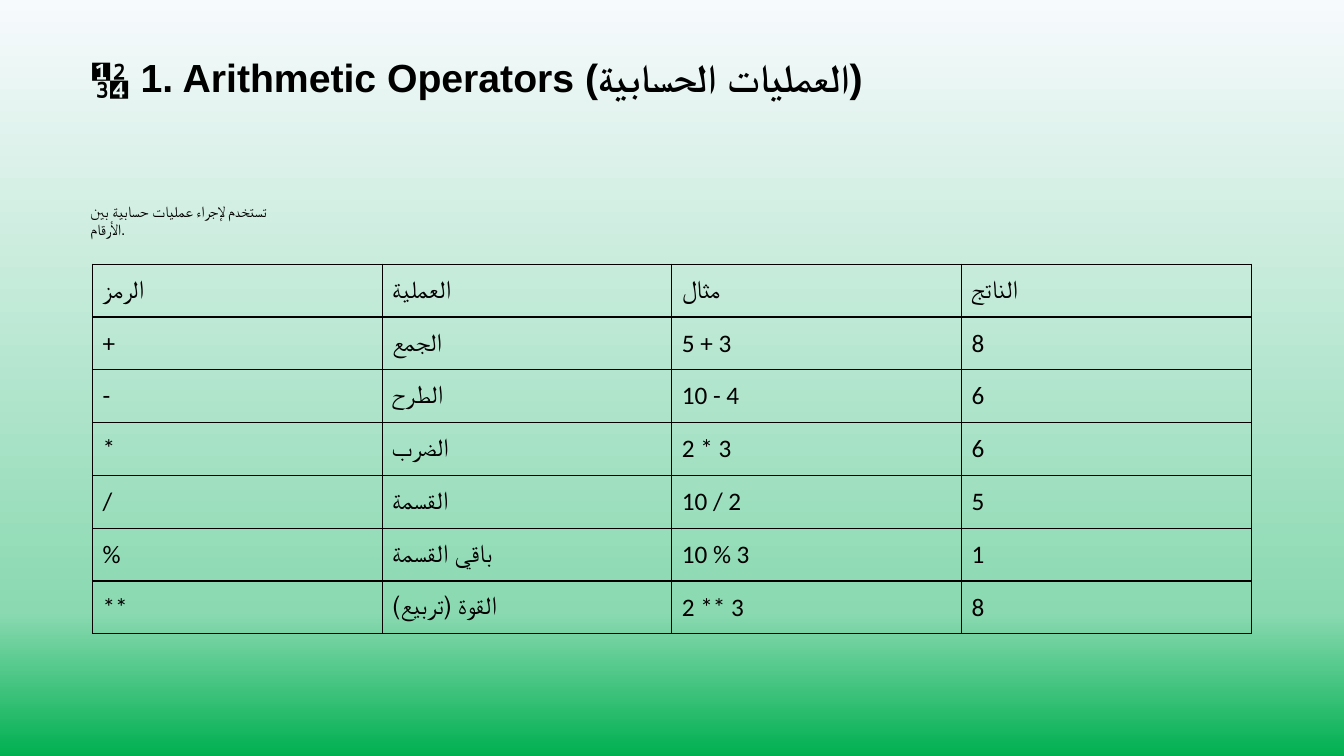
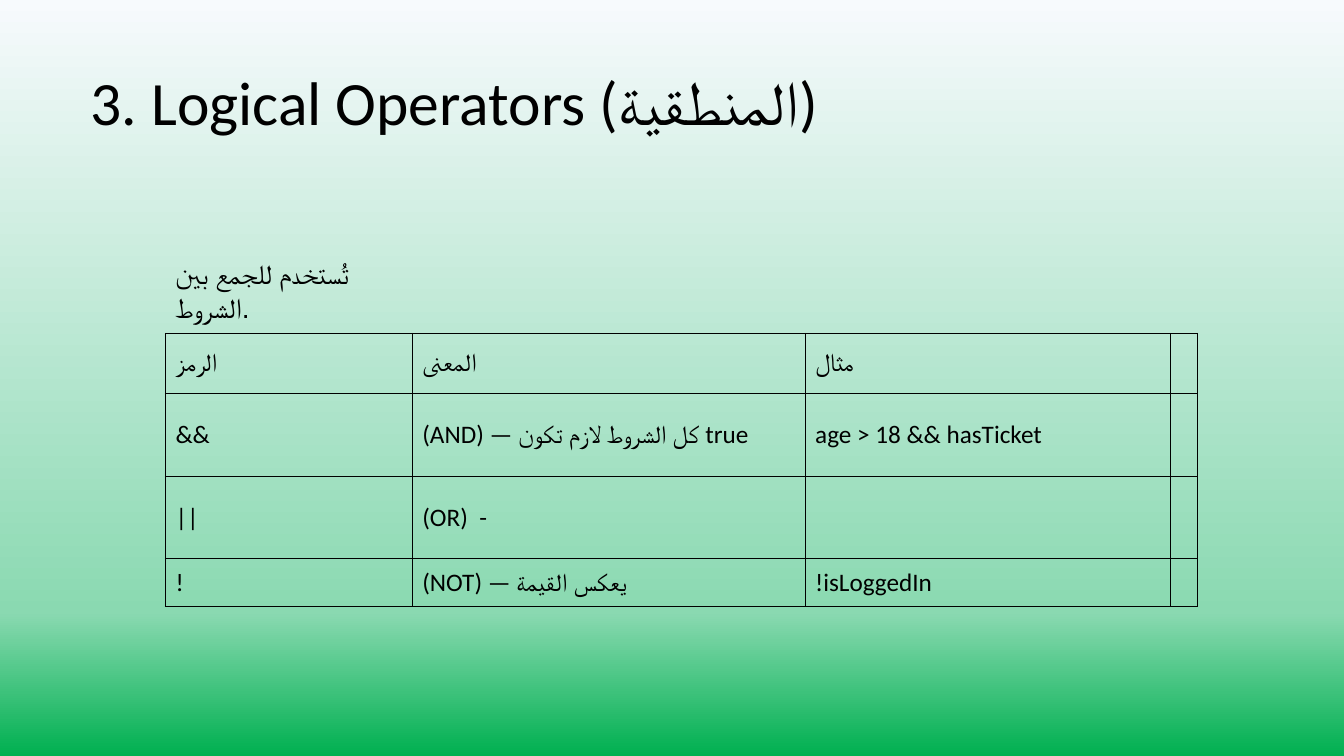
from dataclasses import dataclass

from lxml.etree import SubElement
from pptx import Presentation
from pptx.dml.color import RGBColor
from pptx.enum.text import MSO_ANCHOR as Anchor, PP_ALIGN as Align
from pptx.oxml.ns import qn
from pptx.util import Cm, Pt


@dataclass(frozen=True)
class Theme:
    ink: str = "000000"
    backdrop: tuple = ((0, "F7FAFD"), (81, "8AD9B1"), (100, "00B050"))
    body_font: str = "Calibri"
    accent_font: str = "Arial"
    heading_size: int = 44
    small_heading_size: int = 28
    table_size: int = 18
    caption_size: int = 20
    small_caption_size: int = 11
    border: float = 1
    heading_spacing: float = 0.9


THEME = Theme()
TITLE_ONLY = 5

ARITHMETIC = [
    ("الرمز", "العملية", "مثال", "الناتج"),
    ("+", "الجمع", "5 + 3", "8"),
    ("-", "الطرح", "10 - 4", "6"),
    ("*", "الضرب", "2 * 3", "6"),
    ("/", "القسمة", "10 / 2", "5"),
    ("%", "باقي القسمة", "10 % 3", "1"),
    ("**", "القوة (تربيع)", "2 ** 3", "8"),
]

LOGICAL = [
    ("الرمز", "المعنى", "مثال", ""),
    ("&&", "(AND) — كل الشروط لازم تكون true", "age > 18 && hasTicket", ""),
    ("||", "(OR)  -", "", ""),
    ("!", "(NOT) — يعكس القيمة", "!isLoggedIn", ""),
]


def paint_backdrop(master):
    fill = master.background.fill
    fill.gradient()
    fill.gradient_angle = 270
    stops = master.element.find(".//" + qn("a:gsLst"))
    for stop in list(stops):
        stops.remove(stop)
    for percent, colour in THEME.backdrop:
        stop = SubElement(stops, qn("a:gs"), pos=str(percent * 1000))
        SubElement(stop, qn("a:srgbClr"), val=colour)


def write(frame, text, size, font, bold=False):
    paragraph = frame.paragraphs[0]
    paragraph.alignment = Align.LEFT
    run = paragraph.add_run()
    run.text = text
    run.font.size = Pt(size)
    run.font.name = font
    run.font.bold = bold
    run.font.color.rgb = RGBColor.from_string(THEME.ink)
    return paragraph


def place(shape, left, top, width, height):
    shape.left, shape.top = Cm(left), Cm(top)
    shape.width, shape.height = Cm(width), Cm(height)


def add_titled_slide(deck, text, size, font, bold=False, lift=0):
    slide = deck.slides.add_slide(deck.slide_layouts[TITLE_ONLY])
    heading = slide.shapes.title
    place(heading, 2.03, 0.81, 29.21, 3.68)
    frame = heading.text_frame
    frame.vertical_anchor = Anchor.MIDDLE
    frame.margin_bottom = Cm(0.13 + lift)
    write(frame, text, size, font, bold).line_spacing = THEME.heading_spacing
    return slide


def add_caption(slide, text, size, box):
    frame = slide.shapes.add_textbox(*map(Cm, box)).text_frame
    frame.word_wrap = True
    frame.vertical_anchor = Anchor.MIDDLE
    write(frame, text, size, THEME.accent_font)


def outline_cell(cell):
    properties = cell._tc.get_or_add_tcPr()
    for side in ("lnL", "lnR", "lnT", "lnB"):
        line = SubElement(properties, qn("a:" + side), w=str(Pt(THEME.border)))
        solid = SubElement(line, qn("a:solidFill"))
        SubElement(solid, qn("a:srgbClr"), val=THEME.ink)


def add_operator_table(slide, rows, left, top, widths, heights):
    table = slide.shapes.add_table(
        len(rows), len(widths), Cm(left), Cm(top), Cm(sum(widths)), Cm(sum(heights))
    ).table
    table.first_row = table.horz_banding = False
    for column, width in zip(table.columns, widths):
        column.width = Cm(width)
    for row, height, texts in zip(table.rows, heights, rows):
        row.height = Cm(height)
        for cell, text in zip(row.cells, texts):
            outline_cell(cell)
            cell.fill.background()
            cell.vertical_anchor = Anchor.MIDDLE
            if text:
                write(cell.text_frame, text, THEME.table_size, THEME.body_font)


def add_arithmetic_slide(deck):
    slide = add_titled_slide(
        deck, "🔢 1. Arithmetic Operators (العمليات الحسابية)",
        THEME.small_heading_size, THEME.accent_font, bold=True, lift=1.27)
    add_operator_table(slide, ARITHMETIC, 2.33, 6.66,
                       [7.3] * 4, [1.33] * len(ARITHMETIC))
    add_caption(slide, "تستخدم لإجراء عمليات حسابية بين الأرقام.",
                THEME.small_caption_size, (2.03, 4.8, 5.84, 1.5))


def add_logical_slide(deck):
    slide = add_titled_slide(deck, "3. Logical Operators (المنطقية)",
                             THEME.heading_size, THEME.body_font)
    add_operator_table(slide, LOGICAL, 4.17, 8.4,
                       [6.22, 9.9, 9.2, 0.7], [1.52, 2.08, 2.08, 1.2])
    add_caption(slide, "تُستخدم للجمع بين الشروط.",
                THEME.caption_size, (4.17, 6.76, 6.63, 1.12))


def main():
    deck = Presentation()
    deck.slide_width, deck.slide_height = Cm(33.87), Cm(19.05)
    paint_backdrop(deck.slide_master)
    add_arithmetic_slide(deck)
    add_logical_slide(deck)
    deck.save("out.pptx")


if __name__ == "__main__":
    main()
